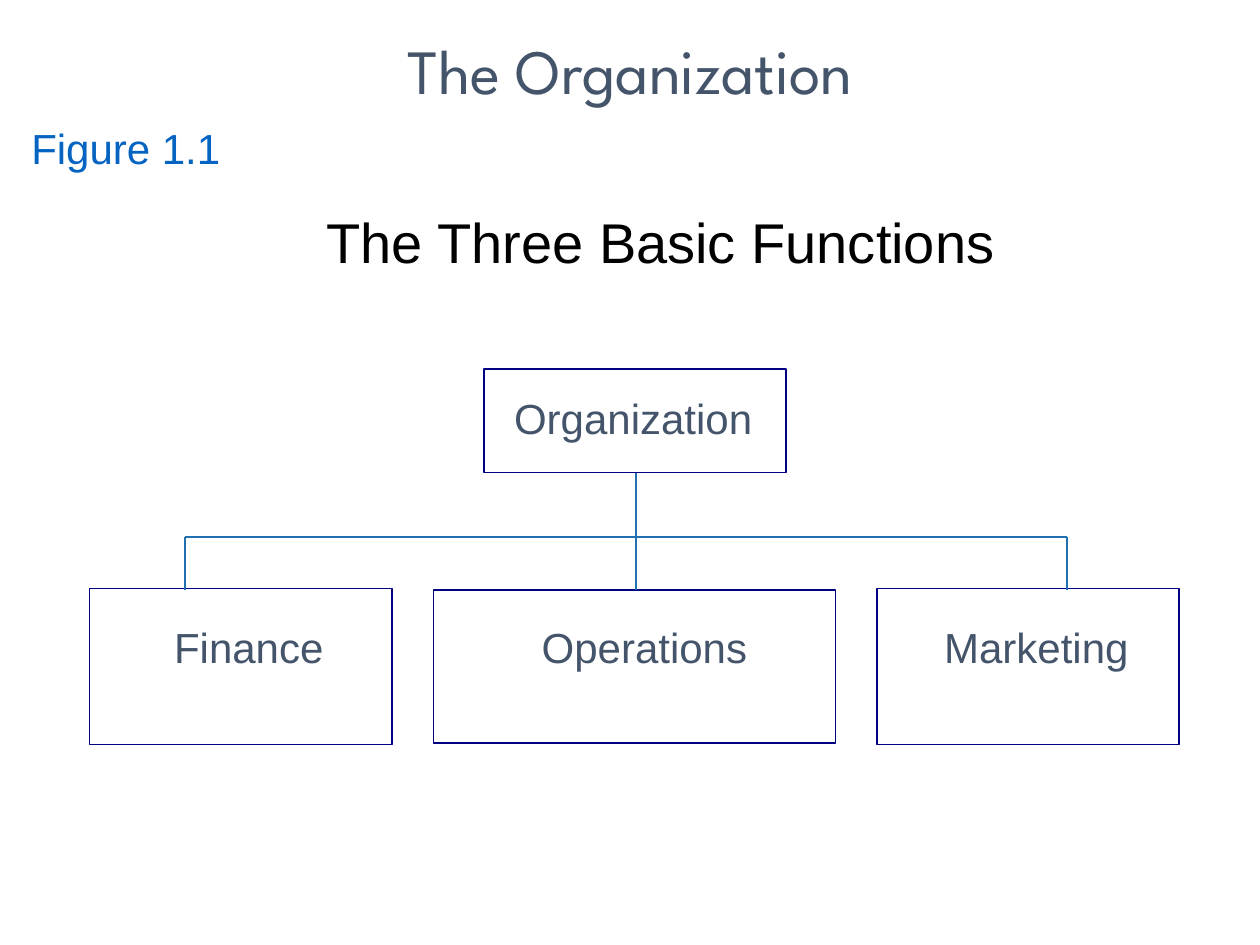
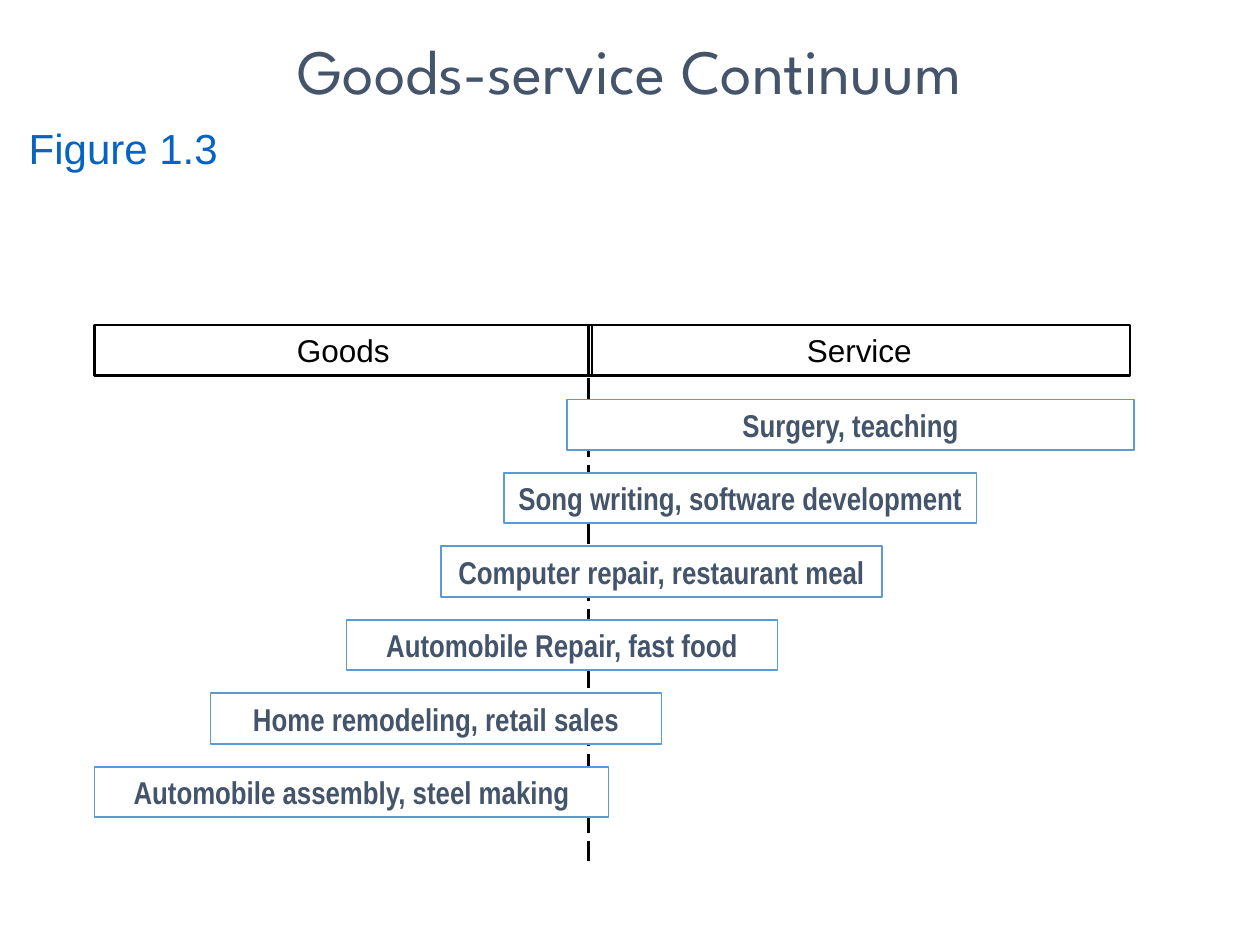
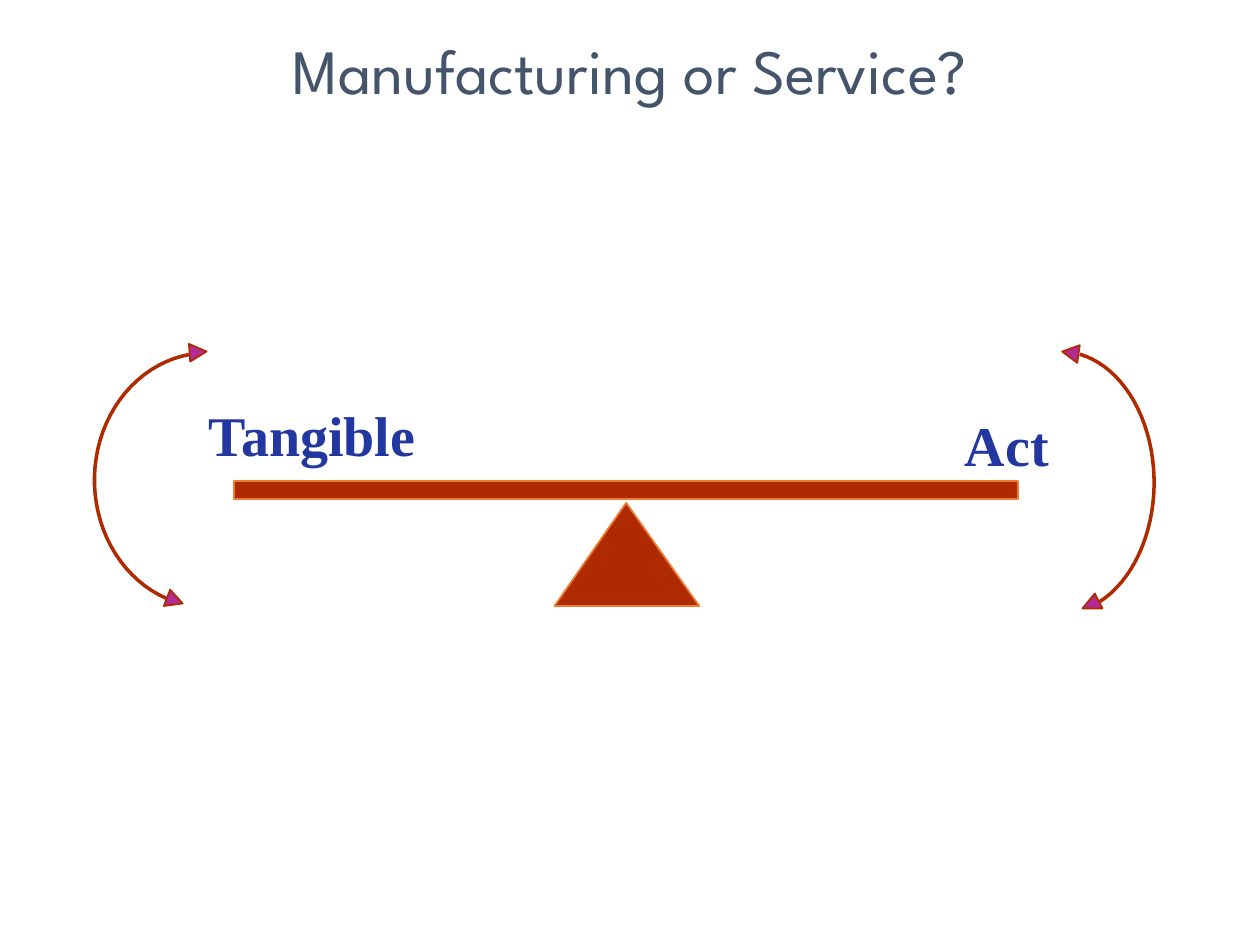
"""Build three slides about operations functions, goods and services."""
from math import cos, radians, sin

from lxml.etree import SubElement
from pptx import Presentation
from pptx.dml.color import RGBColor
from pptx.enum.dml import MSO_LINE
from pptx.enum.shapes import MSO_CONNECTOR, MSO_SHAPE
from pptx.enum.text import MSO_ANCHOR, MSO_AUTO_SIZE, PP_ALIGN
from pptx.oxml.ns import qn
from pptx.util import Inches, Pt

COLORS = {
    "slate": "44546A",
    "link": "0563C1",
    "black": "000000",
    "white": "FFFFFF",
    "navy": "000080",
    "branch": "206FB1",
    "sky": "5B9BD5",
    "rust": "B02A00",
    "orange": "ED7D31",
    "royal": "2237A0",
    "magenta": "B22A92",
}
TITLE_FONT = "League Spartan"
BODY_FONT = "Arial"
FIGURE_TOP = 0.92


def rgb(name):
    """Return the palette colour with this name."""
    return RGBColor.from_string(COLORS[name])


def write(frame, text, size, color, font=BODY_FONT, bold=False,
          align=PP_ALIGN.CENTER, anchor=MSO_ANCHOR.TOP, wrap=True):
    """Write one formatted run into a text frame."""
    frame.auto_size = MSO_AUTO_SIZE.NONE
    frame.word_wrap = wrap
    frame.vertical_anchor = anchor
    paragraph = frame.paragraphs[0]
    paragraph.alignment = align
    run = paragraph.add_run()
    run.text = text
    run.font.size = Pt(size)
    run.font.name = font
    run.font.bold = bold
    run.font.color.rgb = rgb(color)


def paint(shape, fill, line, width=1):
    """Set the fill, outline and shadow of a shape."""
    shape.shadow.inherit = False
    if fill:
        shape.fill.solid()
        shape.fill.fore_color.rgb = rgb(fill)
    else:
        shape.fill.background()
    shape.line.color.rgb = rgb(line)
    shape.line.width = Pt(width)


def add_titled_slide(presentation, title):
    """Add a slide with the shared title style."""
    slide = presentation.slides.add_slide(presentation.slide_layouts[5])
    placeholder = slide.shapes.title
    placeholder.left, placeholder.top = Inches(0), Inches(0.2)
    placeholder.width, placeholder.height = Inches(10), Inches(0.7)
    write(placeholder.text_frame, title, 36, "slate", TITLE_FONT)
    return slide


def add_label(slide, box, text, size, color, **style):
    """Add a text box that keeps its text on one line."""
    label = slide.shapes.add_textbox(*map(Inches, box))
    write(label.text_frame, text, size, color, wrap=False, **style)


def add_figure_number(slide, left, text):
    """Add the figure number below the title."""
    add_label(slide, (left, FIGURE_TOP, 1.7, 0.5), text, 24, "link",
              align=PP_ALIGN.LEFT)


def add_box(slide, box, fill, line, width=1):
    """Add an outlined rectangle."""
    shape = slide.shapes.add_shape(MSO_SHAPE.RECTANGLE, *map(Inches, box))
    paint(shape, fill, line, width)
    return shape


def add_line(slide, start, end, color, width=1, dash=None):
    """Add a straight connector."""
    connector = slide.shapes.add_connector(
        MSO_CONNECTOR.STRAIGHT, *map(Inches, (*start, *end)))
    connector.line.color.rgb = rgb(color)
    connector.line.width = Pt(width)
    if dash:
        connector.line.dash_style = dash
    SubElement(connector._element.spPr, qn("a:effectLst"))


def add_outline(slide, points, fill, line, width=1, close=True):
    """Add a freeform through points given in inches."""
    start, *rest = [(Inches(x), Inches(y)) for x, y in points]
    builder = slide.shapes.build_freeform(*start)
    builder.add_line_segments(rest, close=close)
    paint(builder.convert_to_shape(), fill, line, width)


def add_arc(slide, center, radii, first, last, steps=36):
    """Add an open elliptical arc between two angles in degrees."""
    angles = [radians(first + (last - first) * step / steps)
              for step in range(steps + 1)]
    points = [(center[0] + radii[0] * cos(angle),
               center[1] + radii[1] * sin(angle)) for angle in angles]
    add_outline(slide, points, None, "rust", 2, close=False)


def build_organization(presentation):
    """Build the organization chart slide."""
    slide = add_titled_slide(presentation, "The Organization")
    add_figure_number(slide, 0.15, "Figure 1.1")
    add_label(slide, (1.33, 1.33, 7.83, 1.17), "The Three Basic Functions",
              32, "black", anchor=MSO_ANCHOR.MIDDLE)
    nodes = [
        ("Organization", (3.84, 2.93, 2.4, 0.82), (3.98, 3.07, 2.09, 0.5)),
        ("Finance", (0.71, 4.67, 2.4, 1.24), (0.81, 4.88, 2.33, 0.5)),
        ("Operations", (3.44, 4.68, 3.19, 1.22), (3.95, 4.88, 2.33, 0.5)),
        ("Marketing", (6.96, 4.67, 2.4, 1.24), (7.06, 4.88, 2.33, 0.5)),
    ]
    for name, box, label_box in nodes:
        add_box(slide, box, None, "navy")
        add_label(slide, label_box, name, 24, "slate")
    left, middle, right, bar = 1.47, 5.05, 8.47, 4.26
    add_line(slide, (middle, 3.75), (middle, bar), "branch")
    add_line(slide, (left, bar), (right, bar), "branch")
    for x in (left, middle, right):
        add_line(slide, (x, bar), (x, 4.68), "branch")


def build_continuum(presentation):
    """Build the goods-service continuum slide."""
    slide = add_titled_slide(presentation, "Goods-service Continuum")
    add_figure_number(slide, 0.13, "Figure 1.3")
    divider, height = 4.67, 0.4
    add_line(slide, (divider, 3), (divider, 6.83), "black", 1.5,
             MSO_LINE.LONG_DASH)
    for name, left, width in (("Goods", 0.75, 3.95),
                              ("Service", divider, 4.3)):
        header = add_box(slide, (left, 2.58, width, height),
                         None, "black", 1.5)
        write(header.text_frame, name, 18, "black")
    examples = [
        ("Surgery, teaching", 4.5, 4.5),
        ("Song writing, software development", 4, 3.75),
        ("Computer repair, restaurant meal", 3.5, 3.5),
        ("Automobile Repair, fast food", 2.75, 3.42),
        ("Home remodeling, retail sales", 1.67, 3.58),
        ("Automobile assembly, steel making", 0.75, 4.08),
    ]
    for row, (text, left, width) in enumerate(examples):
        top = 3.17 + row * 7 / 12
        bar = add_box(slide, (left, top, width, height), "white", "sky")
        write(bar.text_frame, text, 18, "slate", "Arial Narrow", True)


def build_balance(presentation):
    """Build the seesaw slide."""
    slide = add_titled_slide(presentation, "Manufacturing or Service?")
    add_box(slide, (1.86, 3.82, 6.22, 0.14), "rust", "orange")
    add_outline(slide, [(4.97, 3.99), (4.4, 4.81), (5.55, 4.81)],
                "rust", "orange")
    for text, box in (("Tangible", (1.56, 3.13, 1.88, 0.63)),
                      ("Act", (7.56, 3.21, 0.87, 0.63))):
        add_label(slide, box, text, 32, "royal", font="Times New Roman",
                  bold=True, align=PP_ALIGN.LEFT)
    add_arc(slide, (1.65, 3.81), (0.9, 1.01), 111.5, 260.4)
    add_arc(slide, (8.42, 3.83), (0.74, 1.04), -78.3, 65.2)
    arrowheads = [
        [(1.3, 4.81), (1.45, 4.79), (1.35, 4.68)],
        [(1.51, 2.87), (1.64, 2.79), (1.5, 2.73)],
        [(8.57, 2.74), (8.43, 2.79), (8.55, 2.88)],
        [(8.69, 4.71), (8.59, 4.83), (8.75, 4.83)],
    ]
    for points in arrowheads:
        add_outline(slide, points, "magenta", "rust")


def main():
    """Build and save the presentation."""
    presentation = Presentation()
    presentation.slide_width = Inches(10)
    presentation.slide_height = Inches(7.5)
    build_organization(presentation)
    build_continuum(presentation)
    build_balance(presentation)
    presentation.save("out.pptx")


if __name__ == "__main__":
    main()
